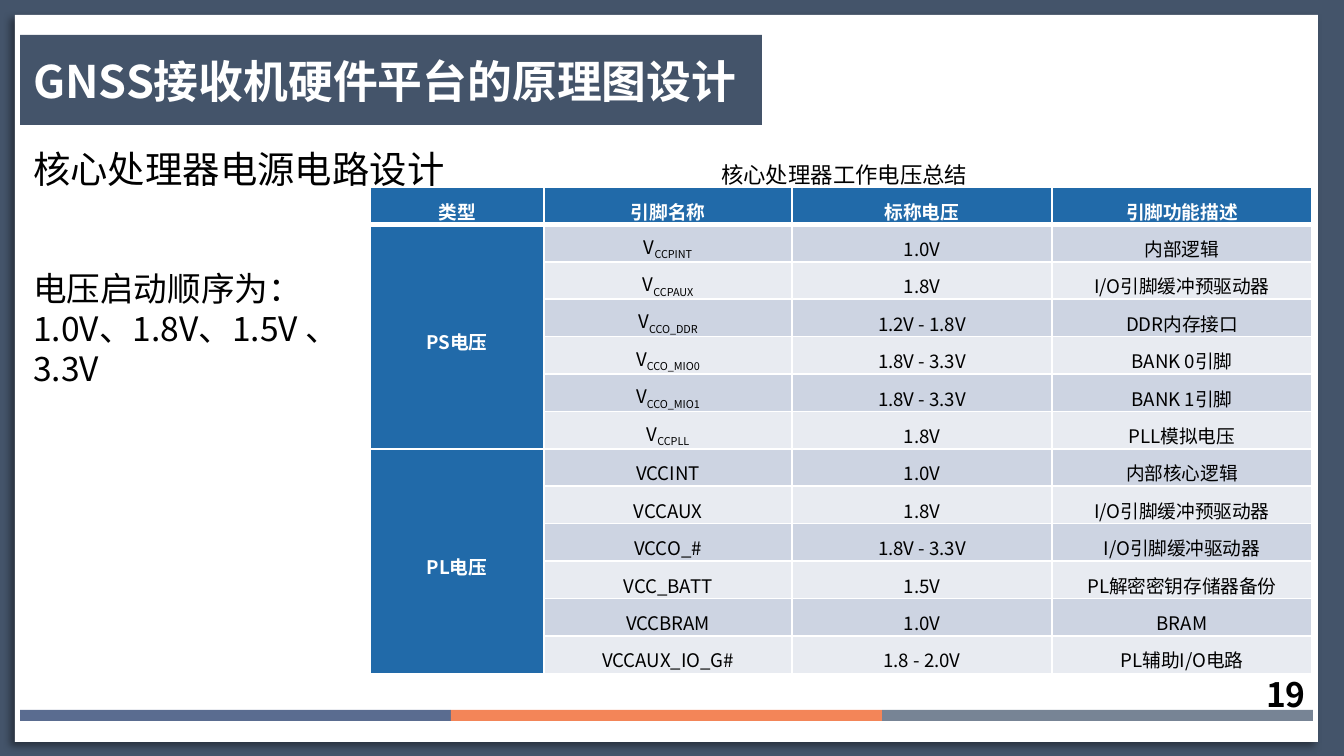
"""Build the GNSS receiver power-supply slide with its voltage table."""
from lxml.etree import SubElement
from pptx import Presentation
from pptx.dml.color import RGBColor
from pptx.enum.shapes import MSO_SHAPE
from pptx.enum.text import MSO_ANCHOR, PP_ALIGN
from pptx.oxml import parse_xml
from pptx.oxml.ns import nsdecls, qn
from pptx.util import Pt

PX = 914400 / 134.4
FONT = "Noto Sans CJK SC"
NAVY, BLUE, WHITE, BLACK = "44546A", "216AA9", "FFFFFF", "000000"
rgb = RGBColor.from_string


def add_block(left, top, width, height, color):
    block = slide.shapes.add_shape(
        MSO_SHAPE.RECTANGLE, *(round(v * PX) for v in (left, top, width, height)))
    block.fill.solid()
    block.fill.fore_color.rgb = rgb(color)
    block.line.fill.background()
    block.shadow.inherit = False
    return block


def format_runs(paragraph, size, color, bold=False):
    for run in paragraph.runs:
        run.font.size = Pt(size)
        run.font.bold = bold
        run.font.color.rgb = rgb(color)
        run.font.name = FONT
        SubElement(run._r.get_or_add_rPr(), qn("a:ea"), typeface=FONT)


deck = Presentation()
deck.slide_width, deck.slide_height = round(1344 * PX), round(756 * PX)
slide = deck.slides.add_slide(deck.slide_layouts[6])

add_block(0, 0, 1344, 756, NAVY)
page = add_block(15, 15, 1303, 727, WHITE)
page._element.spPr.find(qn("a:effectLst")).append(parse_xml(
    f'<a:outerShdw {nsdecls("a")} blurRad="50800" dist="38100" dir="8100000" '
    'algn="tr" rotWithShape="0"><a:srgbClr val="000000"><a:alpha val="40000"/>'
    '</a:srgbClr></a:outerShdw>'))
add_block(20, 35, 742, 90, NAVY)
for index, stripe_color in enumerate(("5A6C90", "F38558", "778495")):
    add_block(20 + 431 * index, 710, 431, 11, stripe_color)

voltages = {
    "PS电压": [
        ("V", "CCPINT", "1.0V", "内部逻辑"),
        ("V", "CCPAUX", "1.8V", "I/O引脚缓冲预驱动器"),
        ("V", "CCO_DDR", "1.2V - 1.8V", "DDR内存接口"),
        ("V", "CCO_MIO0", "1.8V - 3.3V", "BANK 0引脚"),
        ("V", "CCO_MIO1", "1.8V - 3.3V", "BANK 1引脚"),
        ("V", "CCPLL", "1.8V", "PLL模拟电压"),
    ],
    "PL电压": [
        ("VCCINT", "", "1.0V", "内部核心逻辑"),
        ("VCCAUX", "", "1.8V", "I/O引脚缓冲预驱动器"),
        ("VCCO_#", "", "1.8V - 3.3V", "I/O引脚缓冲驱动器"),
        ("VCC_BATT", "", "1.5V", "PL解密密钥存储器备份"),
        ("VCCBRAM", "", "1.0V", "BRAM"),
        ("VCCAUX_IO_G#", "", "1.8 - 2.0V", "PL辅助I/O电路"),
    ],
}
rows = [("类型", "引脚名称", "", "标称电压", "引脚功能描述")]
for supply, pins in voltages.items():
    rows += [(supply if i == 0 else "", *pin) for i, pin in enumerate(pins)]

table = slide.shapes.add_table(
    len(rows), 4, *(round(v * PX) for v in (370, 187, 942, 485))).table
for column, width in zip(table.columns, (174, 248, 260, 260)):
    column.width = round(width * PX)
for r, (kind, pin, subscript, voltage, purpose) in enumerate(rows):
    table.rows[r].height = round(37 * PX)
    for c, text in enumerate((kind, pin, voltage, purpose)):
        cell = table.cell(r, c)
        heading = r == 0 or c == 0
        cell.vertical_anchor = MSO_ANCHOR.MIDDLE
        cell.margin_left = cell.margin_right = round(9 * PX)
        cell.margin_top = cell.margin_bottom = 0
        cell.fill.solid()
        cell.fill.fore_color.rgb = rgb(
            BLUE if heading else "CDD4E2" if r % 2 else "E8EBF1")
        for i, side in enumerate("LRTB"):
            thick = (r, side) in ((0, "B"), (1, "T"))
            cell._tc.get_or_add_tcPr().insert(i, parse_xml(
                f'<a:ln{side} {nsdecls("a")} w="{38100 if thick else 12700}">'
                f'<a:solidFill><a:srgbClr val="{WHITE}"/></a:solidFill></a:ln{side}>'))
        label = cell.text_frame.paragraphs[0]
        label.text = text
        label.alignment = PP_ALIGN.CENTER
        label.line_spacing = Pt(20)
        if c == 1 and subscript:
            suffix = label.add_run()
            suffix.text = subscript
            suffix._r.get_or_add_rPr().set("baseline", "-25000")
        format_runs(label, 10, WHITE if heading else BLACK, heading)
for first in (1, 7):
    table.cell(first, 0).merge(table.cell(first + 5, 0))

captions = [
    ((20, 47, 742, 122), "GNSS接收机硬件平台的原理图设计", 24, WHITE, True),
    ((20, 140, 446, 59), "核心处理器电源电路设计", 20, BLACK, False),
    ((708, 155, 402, 40), "核心处理器工作电压总结", 12, BLACK, False),
    ((20, 261, 352, 177), "电压启动顺序为：\n1.0V、1.8V、1.5V 、 3.3V", 18, BLACK, False),
    ((1253, 667, 73, 54), "19", 18, BLACK, True),
]
for place, text, size, color, bold in captions:
    frame = slide.shapes.add_textbox(*(round(v * PX) for v in place)).text_frame
    frame.word_wrap = True
    frame.text = text
    for paragraph in frame.paragraphs:
        format_runs(paragraph, size, color, bold)

deck.save("out.pptx")
